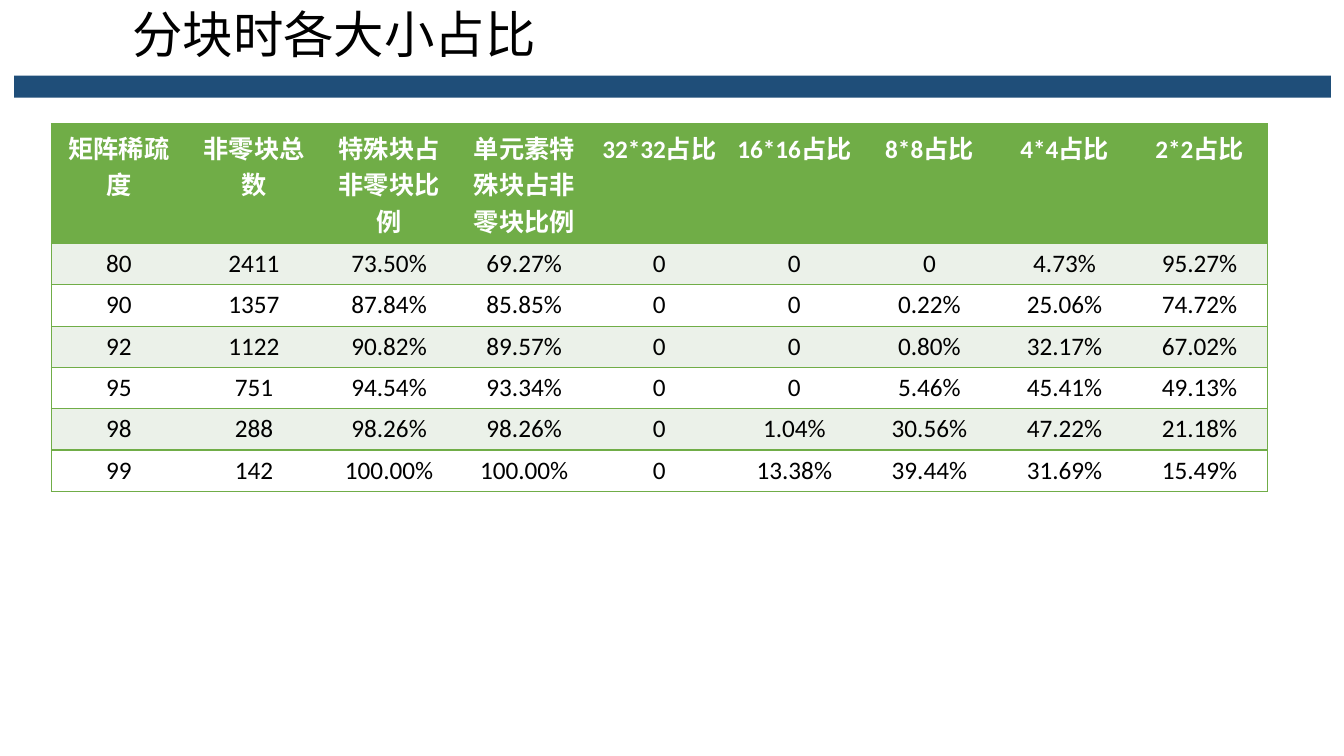
import dataclasses

import lxml.etree
import pptx
import pptx.dml.color
import pptx.enum.shapes
import pptx.enum.text
import pptx.oxml.ns
import pptx.util

Inches = pptx.util.Inches
Pt = pptx.util.Pt
qn = pptx.oxml.ns.qn

COLORS = {"bar": "1F4E79", "green": "70AD47", "stripe": "EBF1E9",
          "white": "FFFFFF", "black": "000000"}
CJK_FONT = "Noto Sans CJK SC"
COLUMN_WIDTH = 1.34
ROW_HEIGHT = 0.41

HEADERS = ("矩阵稀疏度", "非零块总数", "特殊块占非零块比例", "单元素特殊块占非零块比例",
           "32*32占比", "16*16占比", "8*8占比", "4*4占比", "2*2占比")
RECORDS = (
    ("80", "2411", "73.50%", "69.27%", "0", "0", "0", "4.73%", "95.27%"),
    ("90", "1357", "87.84%", "85.85%", "0", "0", "0.22%", "25.06%", "74.72%"),
    ("92", "1122", "90.82%", "89.57%", "0", "0", "0.80%", "32.17%", "67.02%"),
    ("95", "751", "94.54%", "93.34%", "0", "0", "5.46%", "45.41%", "49.13%"),
    ("98", "288", "98.26%", "98.26%", "0", "1.04%", "30.56%", "47.22%", "21.18%"),
    ("99", "142", "100.00%", "100.00%", "0", "13.38%", "39.44%", "31.69%", "15.49%"),
)


@dataclasses.dataclass(frozen=True)
class RowStyle:
    fill: str
    text: str
    bold: bool


HEADER_STYLE = RowStyle("green", "white", True)
BODY_STYLES = (RowStyle("stripe", "black", False), RowStyle("white", "black", False))


def rgb(name: str) -> pptx.dml.color.RGBColor:
    return pptx.dml.color.RGBColor.from_string(COLORS[name])


def format_span(span, size: float, font: str, color: str, bold: bool = False) -> None:
    for name, value in {"size": Pt(size), "name": font, "bold": bold}.items():
        setattr(span.font, name, value)
    span.font.color.rgb = rgb(color)
    east_asian = lxml.etree.Element(qn("a:ea"), typeface=CJK_FONT)
    span.font._element.find(qn("a:latin")).addnext(east_asian)


def add_borders(cell, visible_sides: str) -> None:
    """Draw the sides named by letter (L, R, T, B) and clear the others."""
    properties = cell._tc.get_or_add_tcPr()
    for side in "LRTB":
        line = lxml.etree.SubElement(properties, qn(f"a:ln{side}"), w=str(Pt(1)))
        if side in visible_sides:
            fill = lxml.etree.SubElement(line, qn("a:solidFill"))
            lxml.etree.SubElement(fill, qn("a:srgbClr"), val=COLORS["green"])
        else:
            lxml.etree.SubElement(line, qn("a:noFill"))


def fill_cell(cell, text: str, style: RowStyle, visible_sides: str) -> None:
    add_borders(cell, visible_sides)
    cell.fill.solid()
    cell.fill.fore_color.rgb = rgb(style.fill)
    para = cell.text_frame.paragraphs[0]
    para.alignment = pptx.enum.text.PP_ALIGN.CENTER
    span = para.add_run()
    span.text = text
    format_span(span, 18, "Calibri", style.text, style.bold)


def add_title(page, text: str) -> None:
    title = page.shapes.title
    place = {"left": 1.1, "top": 0.04, "width": 11.5, "height": 0.65}
    for name, value in place.items():
        setattr(title, name, Inches(value))
    title.text_frame.vertical_anchor = pptx.enum.text.MSO_ANCHOR.MIDDLE
    para = title.text_frame.paragraphs[0]
    para.alignment = pptx.enum.text.PP_ALIGN.LEFT
    para.line_spacing = 0.9
    span = para.add_run()
    span.text = text
    format_span(span, 36, CJK_FONT, "black")


def add_bar(page) -> None:
    bar = page.shapes.add_shape(pptx.enum.shapes.MSO_SHAPE.RECTANGLE, Inches(0.14),
                                Inches(0.75), Inches(13.06), Inches(0.22))
    bar.shadow.inherit = False
    bar.fill.solid()
    bar.fill.fore_color.rgb = rgb("bar")
    bar.line.fill.background()


def add_ratio_table(page) -> None:
    rows = (HEADERS, *RECORDS)
    last_column = len(HEADERS) - 1
    frame = page.shapes.add_table(len(rows), len(HEADERS), Inches(0.51), Inches(1.23),
                                  Inches(12.1), Inches(3.43))
    table = frame.table
    for column in table.columns:
        column.width = Inches(COLUMN_WIDTH)
    for row_index, texts in enumerate(rows):
        table.rows[row_index].height = Inches(ROW_HEIGHT)
        style = BODY_STYLES[(row_index - 1) % 2] if row_index else HEADER_STYLE
        for column_index, text in enumerate(texts):
            sides = "TB" + {0: "L", last_column: "R"}.get(column_index, "")
            fill_cell(table.cell(row_index, column_index), text, style, sides)
    frame.height = Inches(3.43)


def main() -> None:
    deck = pptx.Presentation()
    deck.slide_width = Inches(13.33)
    deck.slide_height = Inches(7.5)
    page = deck.slides.add_slide(deck.slide_layouts[5])
    add_bar(page)
    add_title(page, " 分块时各大小占比")
    add_ratio_table(page)
    deck.save("out.pptx")


if __name__ == "__main__":
    main()
